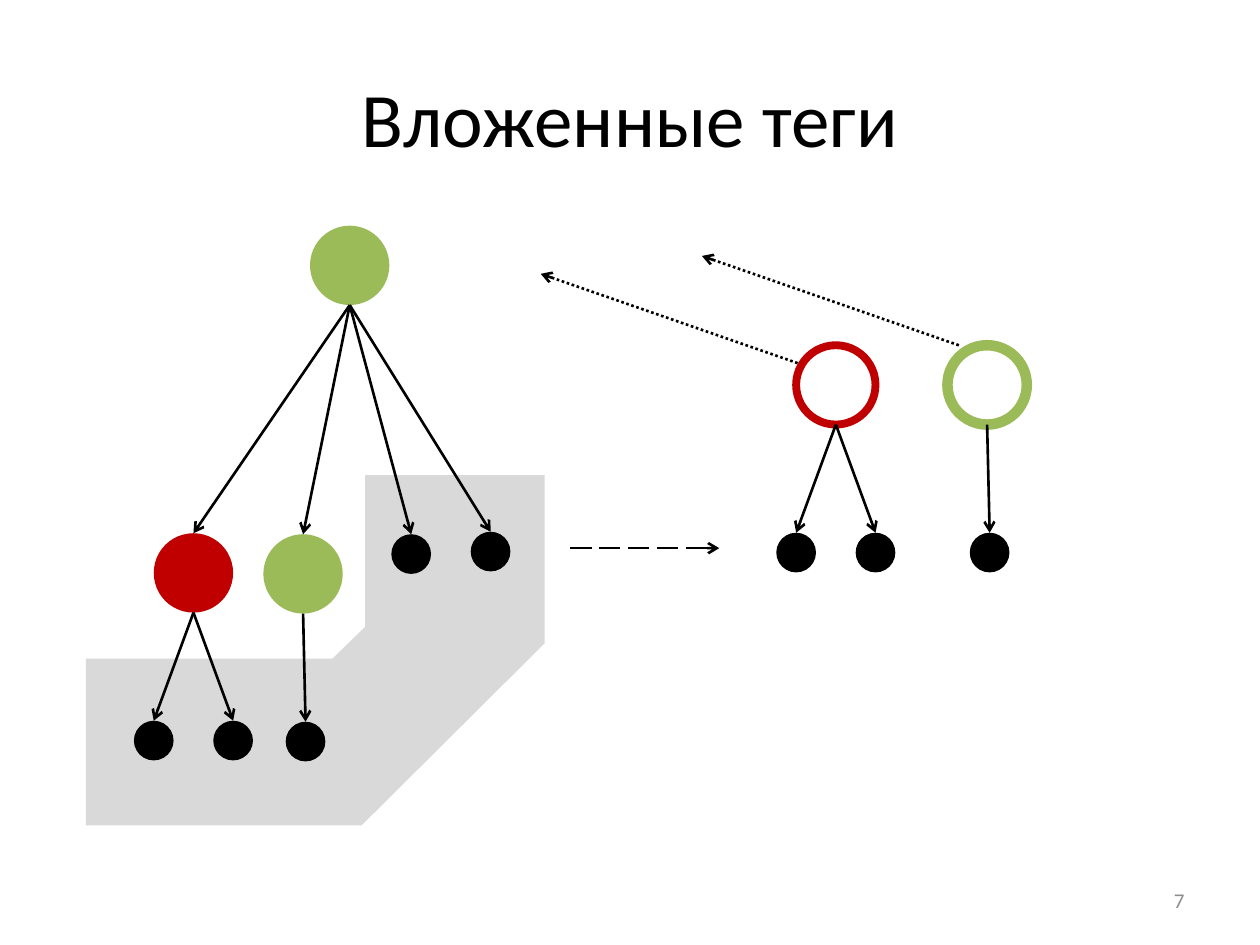
from lxml import etree
from pptx import Presentation
from pptx.dml.color import RGBColor
from pptx.enum import dml, shapes, text
from pptx.oxml.ns import qn
from pptx.util import Cm, Pt

BLACK = RGBColor(0x00, 0x00, 0x00)
WHITE = RGBColor(0xFF, 0xFF, 0xFF)
GREY = RGBColor(0x8C, 0x8C, 0x8C)
LIGHT_GREY = RGBColor(0xD9, 0xD9, 0xD9)
RED = RGBColor(0xC0, 0x00, 0x00)
GREEN = RGBColor(0x9B, 0xBB, 0x59)

TAG = 1.6
LEAF = 0.8
DROP = 3.78


def add_label(page, left, top, width, height, words, size, color, align):
    box = page.shapes.add_textbox(Cm(left), Cm(top), Cm(width), Cm(height))
    frame = box.text_frame
    frame.word_wrap = True
    frame.vertical_anchor = text.MSO_ANCHOR.MIDDLE
    para = frame.paragraphs[0]
    para.alignment = align
    span = para.add_run()
    span.text = words
    span.font.name = "Calibri"
    span.font.size = Pt(size)
    span.font.color.rgb = color


def add_arrow(page, start, end, dash=None):
    arrow = page.shapes.add_connector(
        shapes.MSO_CONNECTOR.STRAIGHT, *(Cm(value) for value in (*start, *end)))
    arrow.line.color.rgb = BLACK
    arrow.line.width = Pt(1.5)
    if dash:
        arrow.line.dash_style = dash
    etree.SubElement(arrow.line._get_or_add_ln(), qn("a:tailEnd"), type="arrow")
    etree.SubElement(arrow._element.spPr, qn("a:effectLst"))


def add_circle(page, center, top, size, fill, ring=None, ring_width=0):
    circle = page.shapes.add_shape(
        shapes.MSO_SHAPE.OVAL, Cm(center - size / 2), Cm(top), Cm(size), Cm(size))
    circle.shadow.inherit = False
    circle.fill.solid()
    circle.fill.fore_color.rgb = fill
    if ring is None:
        circle.line.fill.background()
    else:
        circle.line.color.rgb = ring
        circle.line.width = Pt(ring_width)


def add_family(page, center, top, leaves, fill, ring=None, ring_width=0):
    add_circle(page, center, top, TAG, fill, ring, ring_width)
    for offset in leaves:
        leaf = center + offset
        add_arrow(page, (center, top + TAG), (leaf, top + DROP))
        add_circle(page, leaf, top + DROP, LEAF, BLACK)


def add_leaf_area(page, left, top):
    corners = [(9.25, 0), (5.63, 0), (5.63, 3.06), (4.97, 3.7),
               (0, 3.7), (0, 7.06), (5.56, 7.06), (9.25, 3.39)]
    points = [(Cm(left + x), Cm(top + y)) for x, y in corners]
    builder = page.shapes.build_freeform(*points[0])
    builder.add_line_segments(points[1:], close=True)
    area = builder.convert_to_shape()
    area.shadow.inherit = False
    area.fill.solid()
    area.fill.fore_color.rgb = LIGHT_GREY
    area.line.fill.background()


def add_tree(page, left, top):
    add_leaf_area(page, left, top + 5.03)
    root = left + 5.32
    red, green = left + 2.17, left + 4.38
    add_circle(page, root, top, TAG, GREEN)
    add_family(page, red, top + 6.2, (-0.8, 0.8), RED)
    add_family(page, green, top + 6.22, (0.05,), GREEN)
    leaves = [(left + 6.56, top + 6.22), (left + 8.16, top + 6.17)]
    for leaf in leaves:
        add_circle(page, *leaf, LEAF, BLACK)
    for child in [(red, top + 6.2), (green, top + 6.22), *leaves]:
        add_arrow(page, (root, top + TAG), child)


def add_separate_tags(page, left, top):
    add_family(page, left + 5.37, top + 1.8, (-0.8, 0.8), WHITE, RED, 4.5)
    add_family(page, left + 8.42, top + 1.8, (0.05,), WHITE, GREEN, 6)
    for x, y in [(0, 0.36), (3.25, 0)]:
        add_arrow(page, (left + x + 4.6, top + y + 1.8), (left + x - 0.58, top + y),
                  dml.MSO_LINE.ROUND_DOT)


def main():
    deck = Presentation()
    deck.slide_width, deck.slide_height = Cm(25.4), Cm(19.05)
    page = deck.slides.add_slide(deck.slide_layouts[6])
    add_tree(page, 1.73, 4.55)
    add_label(page, 1.27, 0.76, 22.86, 3.18, "Вложенные теги", 44, BLACK,
              text.PP_ALIGN.CENTER)
    add_separate_tags(page, 11.48, 5.16)
    add_arrow(page, (11.5, 11.05), (14.5, 11.05), dml.MSO_LINE.LONG_DASH)
    add_label(page, 18.2, 17.65, 5.93, 1.01, "7", 12, GREY, text.PP_ALIGN.RIGHT)
    deck.save("out.pptx")


if __name__ == "__main__":
    main()
